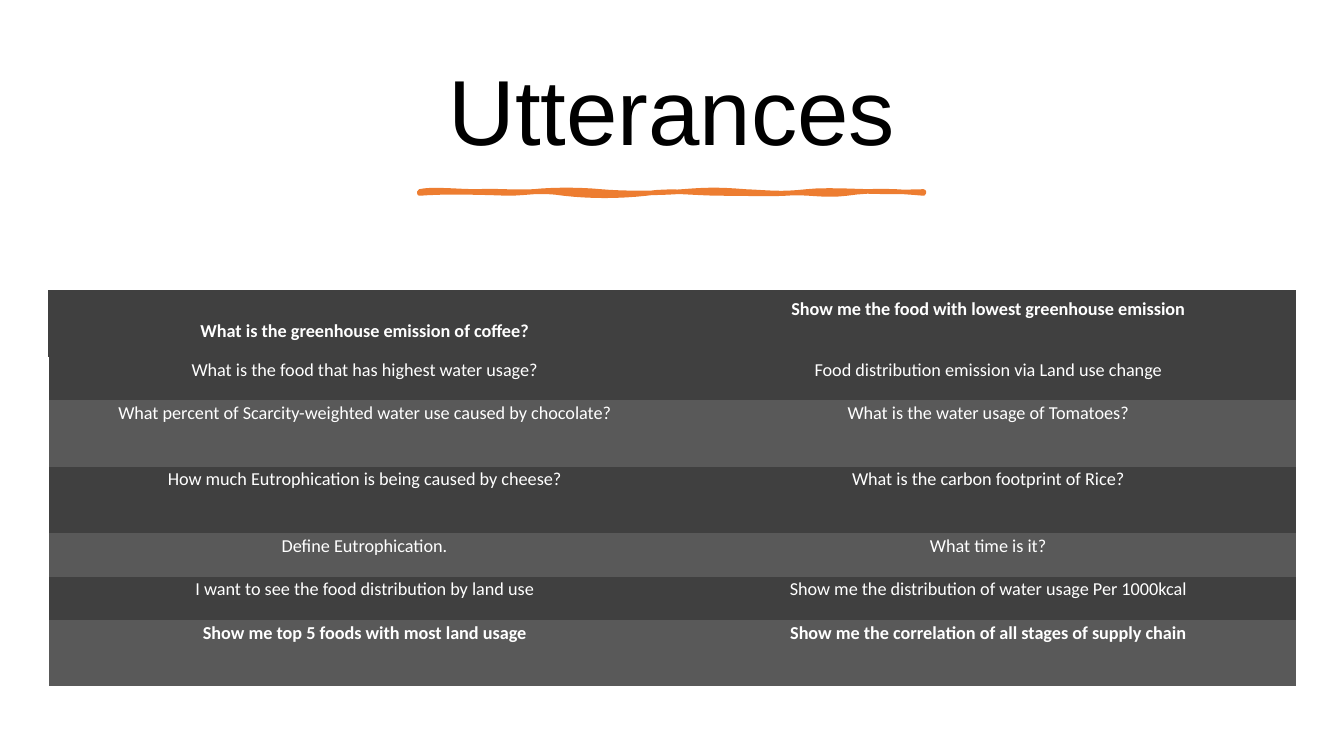
from lxml import etree
from pptx import Presentation
from pptx.dml.color import RGBColor
from pptx.enum.text import MSO_ANCHOR, PP_ALIGN
from pptx.oxml.ns import qn
from pptx.util import Inches, Pt

CENTER = PP_ALIGN.CENTER
TOP, MIDDLE, BOTTOM = MSO_ANCHOR.TOP, MSO_ANCHOR.MIDDLE, MSO_ANCHOR.BOTTOM
COLORS = {"black": "000000", "white": "FFFFFF", "orange": "ED7D31",
          "dark": "404040", "light": "595959"}
NO_STYLE_NO_GRID = "{2D5ABB26-0587-4C30-8999-92F81FD0307C}"


def color(name):
    return RGBColor.from_string(COLORS[name])


def write(paragraph, text, font_name, size, color_name, bold=False):
    paragraph.alignment = CENTER
    run = paragraph.add_run()
    run.text = text
    run.font.name = font_name
    run.font.size = Pt(size)
    run.font.bold = bold
    run.font.color.rgb = color(color_name)


presentation = Presentation()
presentation.slide_width = Inches(13.33)
presentation.slide_height = Inches(7.5)
slide = presentation.slides.add_slide(presentation.slide_layouts[5])

# Title
title = slide.shapes.title
title.left, title.top = Inches(0.7), Inches(0.46)
title.width, title.height = Inches(11.93), Inches(1.37)
title.text_frame.vertical_anchor = MIDDLE
title_paragraph = title.text_frame.paragraphs[0]
title_paragraph.line_spacing = 0.9
write(title_paragraph, "Utterances", "Arial", 66, "black")

# Hand-drawn underline: Bezier segments (two controls and an end), sampled
start = (4.16, 1.9)
segments = [
    ((4.28, 1.87), (4.54, 1.9), (4.73, 1.9)),
    ((4.92, 1.89), (5.09, 1.91), (5.29, 1.9)),
    ((5.49, 1.88), (5.74, 1.88), (5.96, 1.9)),
    ((6.17, 1.92), (6.53, 1.92), (6.77, 1.9)),
    ((7.02, 1.88), (7.14, 1.88), (7.39, 1.9)),
    ((7.63, 1.91), (7.74, 1.93), (8, 1.9)),
    ((8.26, 1.87), (8.67, 1.92), (9.16, 1.9)),
    ((9.17, 1.91), (9.16, 1.91), (9.16, 1.92)),
    ((8.95, 1.9), (8.65, 1.88), (8.4, 1.92)),
    ((8.15, 1.95), (8.01, 1.9), (7.79, 1.92)),
    ((7.56, 1.93), (7.47, 1.92), (7.17, 1.92)),
    ((6.87, 1.92), (6.67, 1.88), (6.41, 1.92)),
    ((6.14, 1.95), (5.85, 1.95), (5.59, 1.92)),
    ((5.34, 1.88), (5.23, 1.92), (5.03, 1.92)),
    ((4.83, 1.91), (4.38, 1.9), (4.16, 1.92)),
]
STEPS = 8
points = []
segment_start = start
for first, second, end in segments:
    for step in range(1, STEPS + 1):
        t = step / STEPS
        points.append(tuple(
            Inches((1 - t) ** 3 * a + 3 * (1 - t) ** 2 * t * b
                   + 3 * (1 - t) * t ** 2 * c + t ** 3 * d)
            for a, b, c, d in zip(segment_start, first, second, end)))
    segment_start = end
builder = slide.shapes.build_freeform(Inches(start[0]), Inches(start[1]))
builder.add_line_segments(points, close=True)
underline = builder.convert_to_shape()
underline.shadow.inherit = False
underline.fill.solid()
underline.fill.fore_color.rgb = color("orange")
underline.line.color.rgb = color("orange")
underline.line.width = Pt(3.25)

# Table of utterances: left text, right text, row height
rows = [
    ("What is the greenhouse emission of coffee?",
     "Show me the food with lowest greenhouse emission", 0.66),
    ("What is the food that has highest water usage?",
     "Food distribution emission via Land use change", 0.43),
    ("What percent of Scarcity-weighted water use caused by chocolate?",
     "What is the water usage of Tomatoes?", 0.66),
    ("How much Eutrophication is being caused by cheese?",
     "What is the carbon footprint of Rice?", 0.66),
    ("Define Eutrophication.", "What time is it?", 0.43),
    ("I want to see the food distribution by land use",
     "Show me the distribution of water usage Per 1000kcal", 0.43),
    ("Show me top 5 foods with most land usage",
     "Show me the correlation of all stages of supply chain", 0.66),
]
table = slide.shapes.add_table(len(rows), 2, Inches(0.48), Inches(2.88),
                               Inches(12.37), Inches(3.92)).table
table._tbl.tblPr.find(qn("a:tableStyleId")).text = NO_STYLE_NO_GRID
table.columns[0].width = Inches(6.27)
table.columns[1].width = Inches(6.1)

for row_index, (left_text, right_text, height) in enumerate(rows):
    table.rows[row_index].height = Inches(height)
    is_header = row_index == 0
    is_bold = row_index in (0, len(rows) - 1)
    band = "light" if row_index and row_index % 2 == 0 else "dark"
    for column_index, text in enumerate((left_text, right_text)):
        cell = table.cell(row_index, column_index)
        cell.fill.solid()
        cell.fill.fore_color.rgb = color(band)
        cell.vertical_anchor = BOTTOM if is_header else TOP
        cell.margin_left = cell.margin_right = Inches(0.07)
        cell.margin_top = Inches(0.02)
        # The right header sits one line higher than the left one
        raised = is_header and column_index == 1
        cell.margin_bottom = Inches(0.36 if raised else 0.14)
        write(cell.text_frame.paragraphs[0], text, "Calibri", 13, "white", is_bold)
        # White left edge below the header
        if column_index == 0 and not is_header:
            edge = etree.Element(qn("a:lnL"), w=str(Pt(1)))
            edge_fill = etree.SubElement(edge, qn("a:solidFill"))
            etree.SubElement(edge_fill, qn("a:srgbClr"), val=COLORS["white"])
            cell._tc.get_or_add_tcPr().insert(0, edge)

presentation.save("out.pptx")
